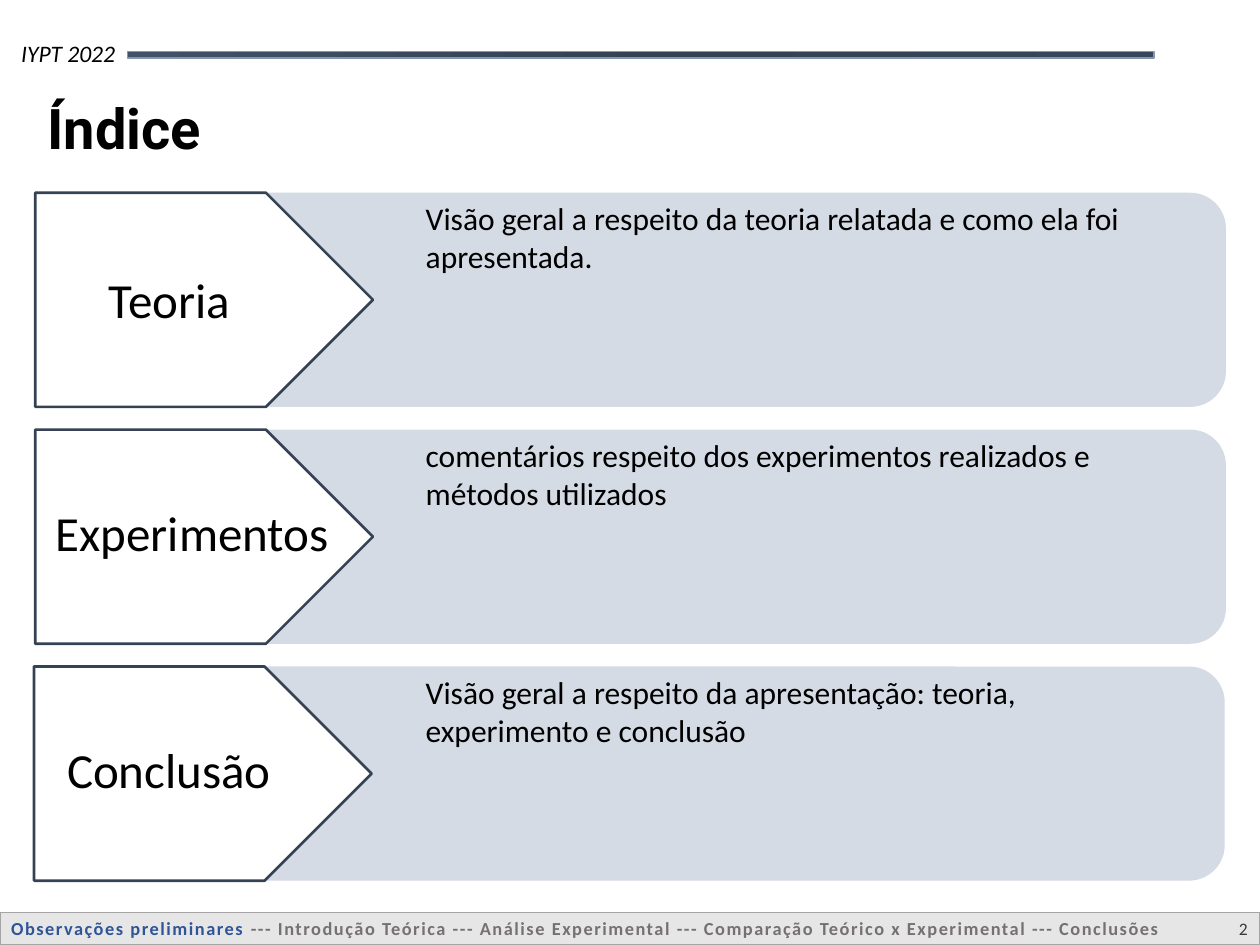
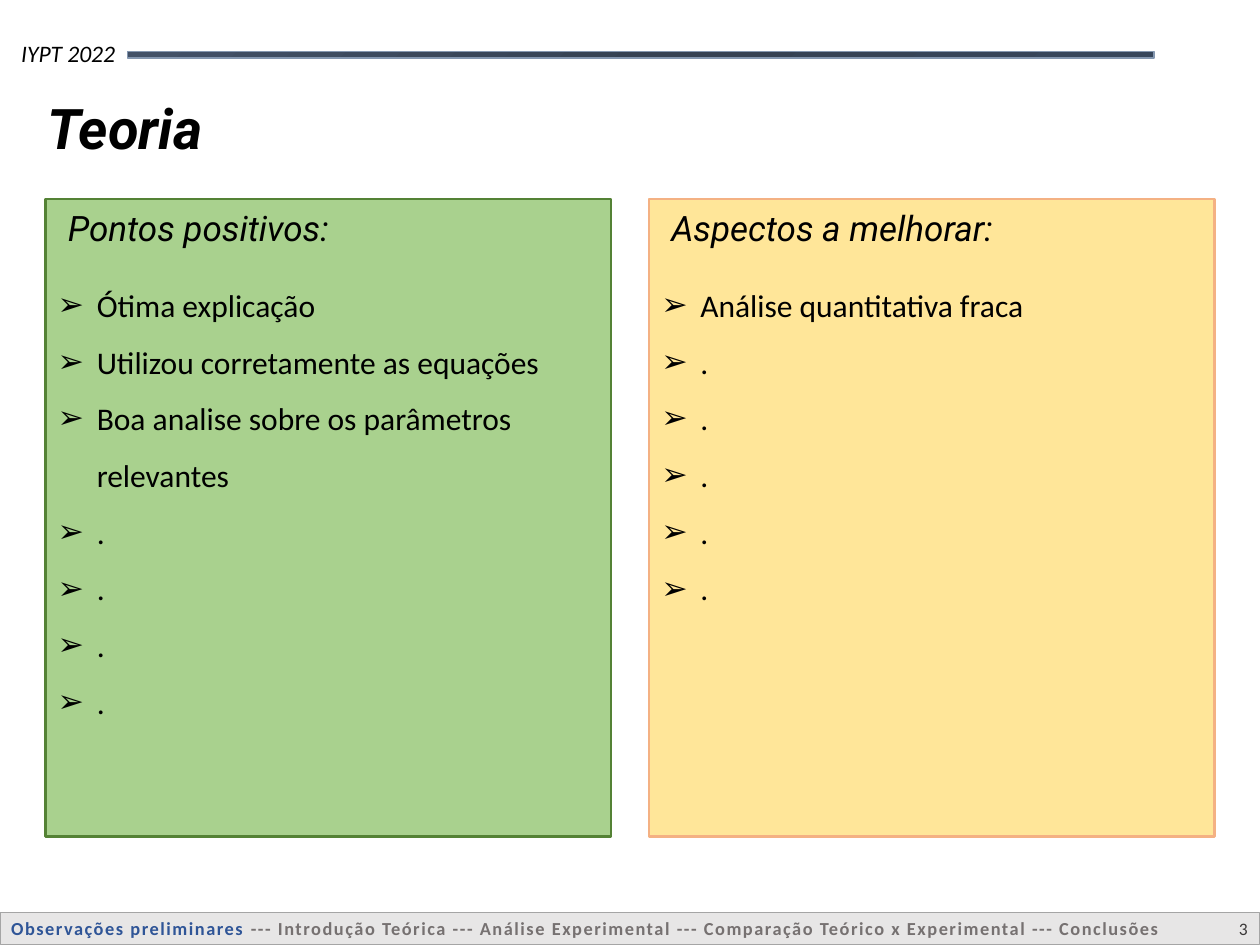
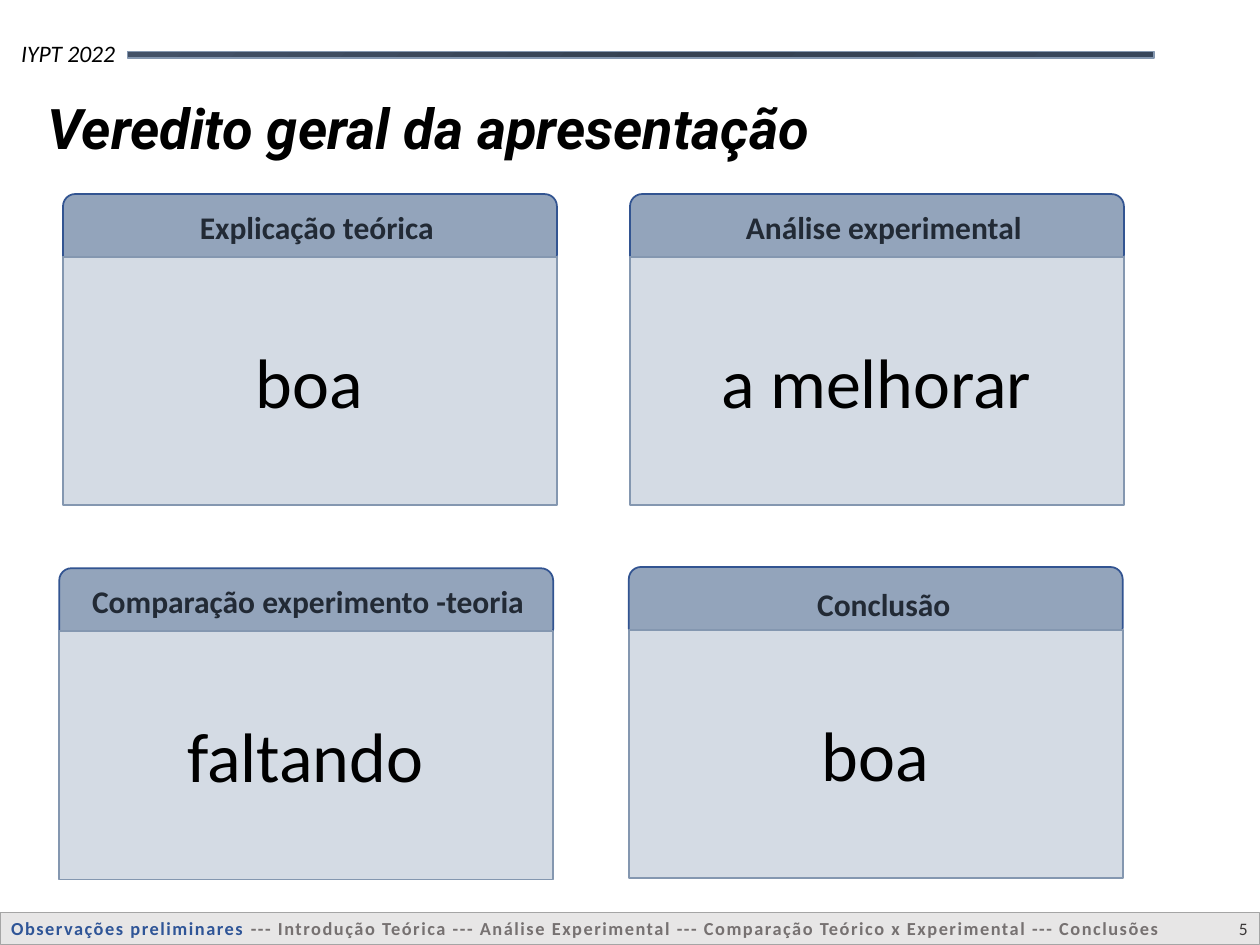
from dataclasses import dataclass
from typing import NamedTuple

from lxml.etree import SubElement
from pptx import Presentation
from pptx.dml.color import RGBColor
from pptx.enum.shapes import MSO_SHAPE
from pptx.enum.text import MSO_ANCHOR, MSO_AUTO_SIZE, PP_ALIGN
from pptx.oxml import parse_xml
from pptx.oxml.ns import nsdecls, qn
from pptx.shapes.autoshape import Shape
from pptx.slide import Slide
from pptx.text.text import _Paragraph as Paragraph
from pptx.util import Emu, Pt

EMU_PER_PX = 9144  # 100 px to the inch

BODY_FONT = "Calibri"
TITLE_FONT = "Roboto"

BLACK = "000000"
WHITE = "FFFFFF"
NAVY = "354253"
PALE_BLUE = "D4DBE4"
STEEL = "8497B0"
HEADER_BLUE = "93A4BB"
HEADER_LINE = "325491"
HEADER_TEXT = "222A35"
ACTIVE_SECTION = "2F5597"
OTHER_SECTIONS = "767171"
FOOTER_FILL = "E7E6E6"
FOOTER_LINE = "A5A5A5"
NUMBER_TEXT = "3B3838"
RULE_STOPS = ((0, "425167"), (53, "354152"), (100, "37465B"))


class Box(NamedTuple):
    left: int
    top: int
    width: int
    height: int


@dataclass(frozen=True)
class TextStyle:
    size: float
    color: str = BLACK
    font: str = BODY_FONT
    bold: bool = False
    italic: bool = False
    spacing: int = 0  # hundredths of a point


@dataclass(frozen=True)
class IndexRow:
    label: str
    description: str
    left: int
    label_offset: int
    label_width: int


@dataclass(frozen=True)
class ReviewPanel:
    heading: str
    points: tuple[str, ...]
    left: int
    text_height: int
    fill: str
    line: str


@dataclass(frozen=True)
class VerdictCard:
    heading: str
    verdict: str
    left: int
    top: int
    heading_offset: tuple[int, int] = (61, 6)
    heading_width: int = 281


EVENT = TextStyle(13.5, italic=True)
SECTION_NOW = TextStyle(10.5, ACTIVE_SECTION, bold=True, spacing=90)
SECTION_REST = TextStyle(10.5, OTHER_SECTIONS, bold=True, spacing=90)
SLIDE_NUMBER = TextStyle(10, NUMBER_TEXT)
BODY = TextStyle(18)
INDEX_LABEL = TextStyle(28)
PANEL_HEADING = TextStyle(20, font=TITLE_FONT, italic=True)
CARD_HEADING = TextStyle(18, HEADER_TEXT, bold=True)
VERDICT = TextStyle(40)

SECTIONS = ("Introdução Teórica", "Análise Experimental",
            "Comparação Teórico x Experimental", "Conclusões")

INDEX_ROWS = (
    IndexRow("Teoria", "Visão geral a respeito da teoria relatada e como ela foi apresentada.",
             28, 56, 213),
    IndexRow("Experimentos", "comentários respeito dos experimentos realizados e métodos utilizados",
             28, 53, 249),
    IndexRow("Conclusão", "Visão geral a respeito da apresentação: teoria, experimento e conclusão",
             27, 53, 214),
)

REVIEW_PANELS = (
    ReviewPanel("Pontos positivos:",
                ("Ótima explicação", "Utilizou corretamente as equações",
                 "Boa analise sobre os parâmetros relevantes", *["."] * 4),
                36, 399, "A9D18E", "548235"),
    ReviewPanel("Aspectos a melhorar:", ("Análise quantitativa fraca", *["."] * 5),
                515, 308, "FFE699", "F4B183"),
)

VERDICT_CARDS = (
    VerdictCard("Explicação teórica", "boa", 50, 154),
    VerdictCard("Análise experimental", "a melhorar", 500, 154),
    VerdictCard("Comparação experimento -teoria", "faltando", 47, 451, (3, 6), 389),
    VerdictCard("Conclusão", "boa", 499, 450, (62, 9)),
)


def px(length: int) -> Emu:
    return Emu(length * EMU_PER_PX)


def rgb(color: str) -> RGBColor:
    return RGBColor.from_string(color)


def add_panel(slide: Slide, kind: MSO_SHAPE, box: Box, fill: str,
              line: str | None = None, line_width: float = 1) -> Shape:
    shape = slide.shapes.add_shape(kind, *map(px, box))
    shape.shadow.inherit = False
    shape.fill.solid()
    shape.fill.fore_color.rgb = rgb(fill)
    if line is None:
        shape.line.fill.background()
    else:
        shape.line.color.rgb = rgb(line)
        shape.line.width = Pt(line_width)
    return shape


def add_run(paragraph: Paragraph, text: str, style: TextStyle) -> None:
    run = paragraph.add_run()
    run.text = text
    run.font.size = Pt(style.size)
    run.font.name = style.font
    run.font.bold = style.bold
    run.font.italic = style.italic
    run.font.color.rgb = rgb(style.color)
    if style.spacing:
        run.font._element.set("spc", str(style.spacing))


def add_text_box(slide: Slide, box: Box) -> Shape:
    shape = slide.shapes.add_textbox(*map(px, box))
    shape.text_frame.word_wrap = True
    shape.text_frame.auto_size = MSO_AUTO_SIZE.SHAPE_TO_FIT_TEXT
    return shape


def add_text(slide: Slide, box: Box, text: str, style: TextStyle,
             align: PP_ALIGN = PP_ALIGN.LEFT) -> Shape:
    shape = add_text_box(slide, box)
    paragraph = shape.text_frame.paragraphs[0]
    paragraph.alignment = align
    add_run(paragraph, text, style)
    return shape


def set_circular_gradient(shape: Shape, stops: tuple[tuple[int, str], ...]) -> None:
    stop_xml = "".join(f'<a:gs pos="{position * 1000}"><a:srgbClr val="{color}"/></a:gs>'
                       for position, color in stops)
    gradient = parse_xml(
        f'<a:gradFill {nsdecls("a")}><a:gsLst>{stop_xml}</a:gsLst>'
        '<a:path path="circle"><a:fillToRect r="100000" b="100000"/></a:path></a:gradFill>')
    properties = shape._element.spPr
    properties.replace(properties.find(qn("a:solidFill")), gradient)


def set_arrow_bullet(paragraph: Paragraph) -> None:
    properties = paragraph._p.get_or_add_pPr()
    indent = px(31)
    properties.set("marL", str(indent))
    properties.set("indent", str(-indent))
    SubElement(properties, qn("a:buFont")).set("typeface", BODY_FONT)
    SubElement(properties, qn("a:buChar")).set("char", "➢")


def add_framed_slide(presentation: Presentation, title: str, number: int,
                     title_width: int = 317, italic: bool = True) -> Slide:
    """Add a slide with the header rule, title, section footer and number."""
    slide = presentation.slides.add_slide(presentation.slide_layouts[6])
    add_text(slide, Box(7, 26, 126, 33), "IYPT 2022", EVENT)
    rule = add_panel(slide, MSO_SHAPE.RECTANGLE, Box(101, 41, 815, 5), NAVY, STEEL, 0.75)
    set_circular_gradient(rule, RULE_STOPS)

    add_panel(slide, MSO_SHAPE.RECTANGLE, Box(0, 724, 1000, 26), FOOTER_FILL, FOOTER_LINE, 0.5)
    footer = add_text(slide, Box(-1, 723, 937, 28), "Observações preliminares ", SECTION_NOW)
    add_run(footer.text_frame.paragraphs[0], "--- " + " --- ".join(SECTIONS), SECTION_REST)

    page = add_text(slide, Box(948, 717, 52, 40), str(number), SLIDE_NUMBER, PP_ALIGN.RIGHT)
    page.text_frame.auto_size = MSO_AUTO_SIZE.NONE
    page.text_frame.vertical_anchor = MSO_ANCHOR.MIDDLE

    title_style = TextStyle(32, font=TITLE_FONT, bold=True, italic=italic)
    add_text(slide, Box(28, 69, title_width, 64), title, title_style)
    return slide


def add_index_row(slide: Slide, row: IndexRow, top: int) -> None:
    height = 170
    add_panel(slide, MSO_SHAPE.ROUNDED_RECTANGLE, Box(row.left, top, 945, height), PALE_BLUE)
    add_panel(slide, MSO_SHAPE.PENTAGON, Box(row.left, top, 268, height), WHITE, NAVY, 1.5)
    add_text(slide, Box(328, top, 612, 71), row.description, BODY)
    add_text(slide, Box(row.left, top + row.label_offset, row.label_width, 57),
             row.label, INDEX_LABEL, PP_ALIGN.CENTER)


def add_review_panel(slide: Slide, panel: ReviewPanel) -> None:
    add_panel(slide, MSO_SHAPE.RECTANGLE, Box(panel.left, 158, 449, 506),
              panel.fill, panel.line, 1.5)
    add_text(slide, Box(panel.left + 8, 159, 434, 44), panel.heading, PANEL_HEADING)
    frame = add_text_box(slide, Box(panel.left, 222, 449, panel.text_height)).text_frame
    for index, point in enumerate(panel.points):
        paragraph = frame.add_paragraph() if index else frame.paragraphs[0]
        if index:
            paragraph.line_spacing = 1.5
        set_arrow_bullet(paragraph)
        add_run(paragraph, point, BODY)


def add_verdict_card(slide: Slide, card: VerdictCard) -> None:
    left, top, width = card.left, card.top, 392
    add_panel(slide, MSO_SHAPE.ROUNDED_RECTANGLE, Box(left, top, width, 58),
              HEADER_BLUE, HEADER_LINE)
    add_panel(slide, MSO_SHAPE.RECTANGLE, Box(left, top + 50, width, 197), PALE_BLUE, STEEL)
    offset_x, offset_y = card.heading_offset
    add_text(slide, Box(left + offset_x, top + offset_y, card.heading_width, 40),
             card.heading, CARD_HEADING, PP_ALIGN.CENTER)
    add_text(slide, Box(left + 2, top + 110, 387, 77), card.verdict, VERDICT, PP_ALIGN.CENTER)


def main() -> None:
    presentation = Presentation()
    presentation.slide_width = px(1000)
    presentation.slide_height = px(750)

    index_slide = add_framed_slide(presentation, "Índice", 2, italic=False)
    for position, row in enumerate(INDEX_ROWS):
        add_index_row(index_slide, row, 153 + 188 * position)

    theory_slide = add_framed_slide(presentation, "Teoria", 3)
    for panel in REVIEW_PANELS:
        add_review_panel(theory_slide, panel)

    verdict_slide = add_framed_slide(presentation, "Veredito geral da apresentação", 5, 783)
    for card in VERDICT_CARDS:
        add_verdict_card(verdict_slide, card)

    presentation.save("out.pptx")


if __name__ == "__main__":
    main()
